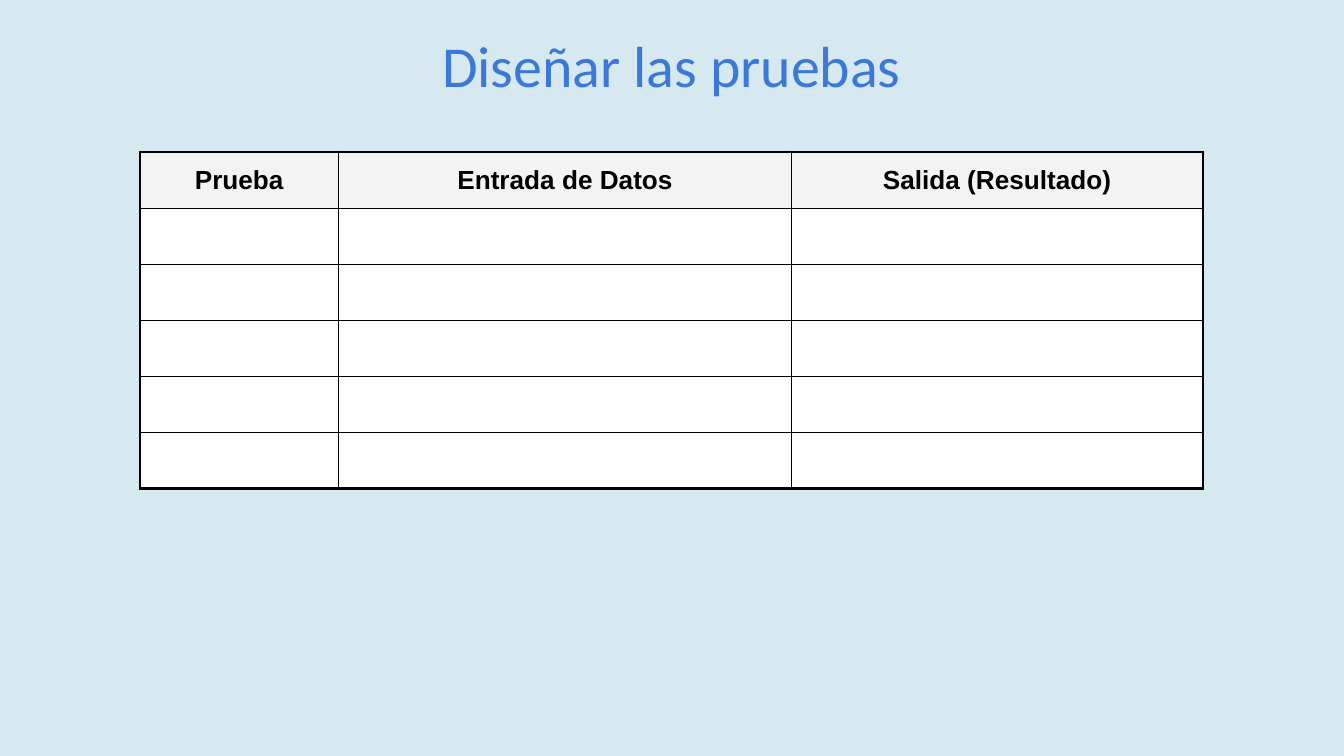
from lxml import etree
from pptx import Presentation
from pptx import util as u
from pptx.dml.color import RGBColor
from pptx.enum import text
from pptx.oxml import ns

COLORS = {"background": "D6E8F0", "title": "3C78D8", "header": "F3F3F3",
          "body": "FFFFFF", "ink": "000000"}
HEADERS = ["Prueba", "Entrada de Datos", "Salida (Resultado)"]
COLUMN_WIDTHS = [1.48, 3.37, 3.06]
ROW_COUNT, ROW_HEIGHT = 6, 0.417
THIN, THICK = 0.75, 1.5


def write(frame, words, font, size, color, bold=False):
    frame.margin_left = frame.margin_right = u.Inches(0.1)
    frame.margin_top = frame.margin_bottom = u.Inches(0.1)
    para = frame.paragraphs[0]
    para.alignment = text.PP_ALIGN.CENTER
    span = para.add_run()
    span.text = words
    span.font.name, span.font.size, span.font.bold = font, u.Pt(size), bold
    span.font.color.rgb = RGBColor.from_string(COLORS[color])


def add_border(cell, side, points):
    line = etree.Element(ns.qn(f"a:{side}"), w=str(u.Pt(points)))
    fill = etree.SubElement(line, ns.qn("a:solidFill"))
    etree.SubElement(fill, ns.qn("a:srgbClr"), val=COLORS["ink"])
    cell._tc.get_or_add_tcPr().append(line)


# Page
deck = Presentation()
deck.slide_width, deck.slide_height = u.Inches(10), u.Inches(5.625)
page = deck.slides.add_slide(deck.slide_layouts[5])
page.background.fill.solid()
page.background.fill.fore_color.rgb = RGBColor.from_string(COLORS["background"])

# Title
title = page.shapes.title
title.left, title.top = u.Inches(0.76), u.Inches(0.12)
title.width, title.height = u.Inches(8.47), u.Inches(0.61)
title.text_frame.auto_size = text.MSO_AUTO_SIZE.NONE
title.text_frame.vertical_anchor = text.MSO_ANCHOR.TOP
write(title.text_frame, "Diseñar las pruebas", "Calibri", 31, "title")

# Test table
table = page.shapes.add_table(
    ROW_COUNT, len(HEADERS), u.Inches(1.04), u.Inches(1.13),
    u.Inches(sum(COLUMN_WIDTHS)), u.Inches(ROW_COUNT * ROW_HEIGHT)).table
table.horz_banding = False
for column, width in zip(table.columns, COLUMN_WIDTHS):
    column.width = u.Inches(width)

last_row, last_column = ROW_COUNT - 1, len(HEADERS) - 1
for r, row in enumerate(table.rows):
    row.height = u.Inches(ROW_HEIGHT)
    for c, cell in enumerate(row.cells):
        # Heavy lines around the table, thin lines inside; borders precede the fill
        outer = {"lnL": c == 0, "lnR": c == last_column,
                 "lnT": r == 0, "lnB": r == last_row}
        for side, on_edge in outer.items():
            add_border(cell, side, THICK if on_edge else THIN)
        cell.fill.solid()
        cell.fill.fore_color.rgb = RGBColor.from_string(
            COLORS["header" if r == 0 else "body"])

# Header row
for cell, words in zip(table.rows[0].cells, HEADERS):
    write(cell.text_frame, words, "Arial", 14, "ink", bold=True)
    cell.margin_left = cell.margin_right = u.Inches(0.1)
    cell.margin_top = cell.margin_bottom = u.Inches(0.1)

deck.save("out.pptx")
